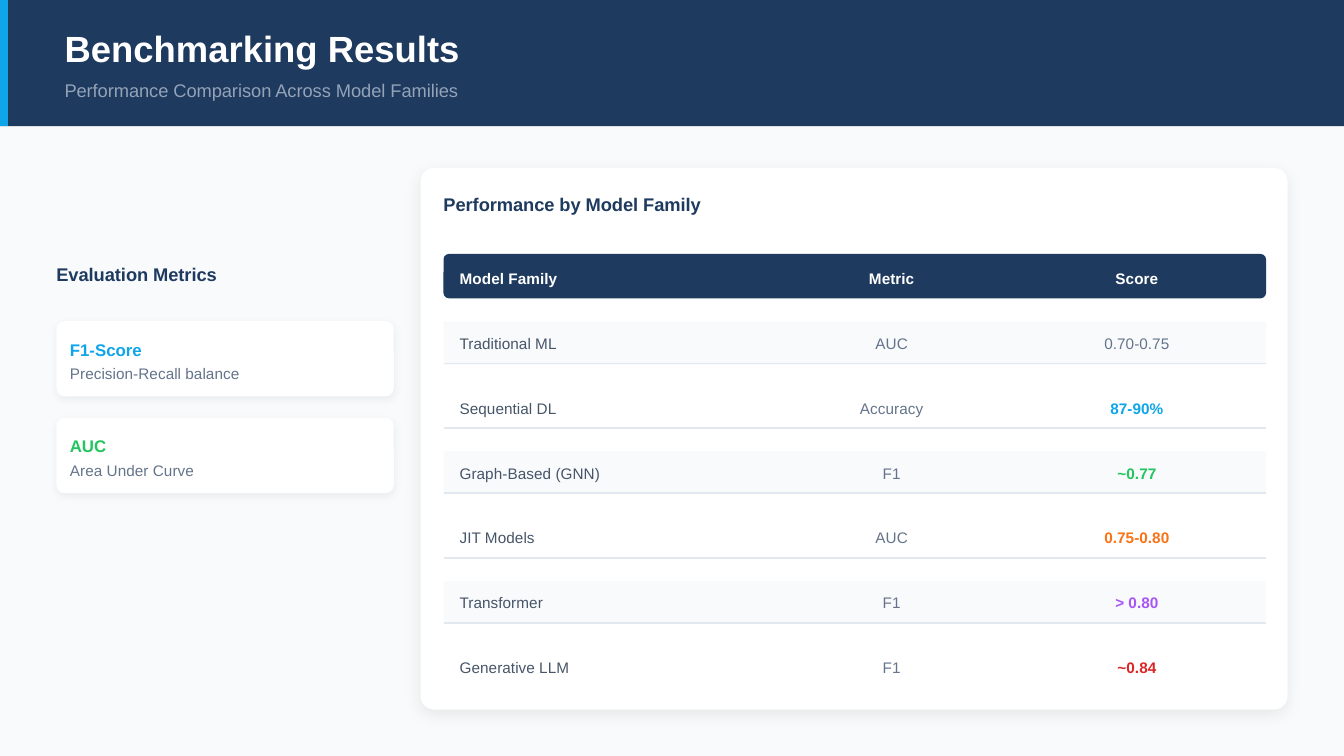
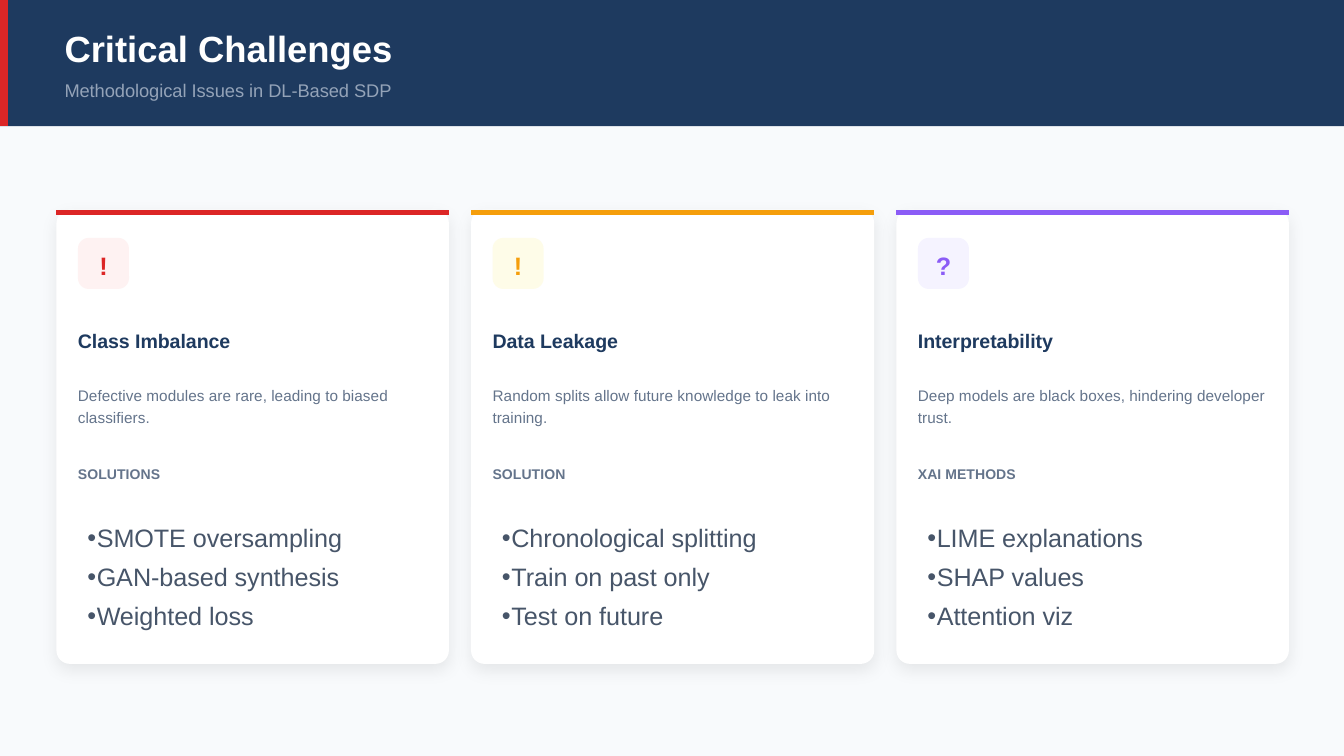
from dataclasses import dataclass

from lxml import etree
from pptx import Presentation
from pptx.dml.color import RGBColor
from pptx.enum.shapes import MSO_CONNECTOR, MSO_SHAPE
from pptx.enum.text import MSO_ANCHOR, MSO_AUTO_SIZE, PP_ALIGN
from pptx.oxml.ns import qn
from pptx.util import Inches, Pt

RECTANGLE = MSO_SHAPE.RECTANGLE
ROUNDED = MSO_SHAPE.ROUNDED_RECTANGLE
STRAIGHT = MSO_CONNECTOR.STRAIGHT
TOP = MSO_ANCHOR.TOP
MIDDLE = MSO_ANCHOR.MIDDLE
LEFT = PP_ALIGN.LEFT
CENTER = PP_ALIGN.CENTER
NO_AUTOFIT = MSO_AUTO_SIZE.NONE

TITLE_AND_CONTENT = 1
COMPARISON = 4
PLAIN_TABLE_STYLE = "{2D5ABB26-0587-4C30-8999-92F81FD0307C}"
MARGIN = 0.42
CONTENT_RIGHT = 9.59


@dataclass(frozen=True)
class Theme:
    font: str = "Arial"
    background: str = "F8FAFC"
    white: str = "FFFFFF"
    black: str = "000000"
    navy: str = "1E3A5F"
    subtitle: str = "94A3B8"
    muted: str = "64748B"
    body: str = "475569"
    rule: str = "E2E8F0"
    sky: str = "0EA5E9"
    green: str = "22C55E"
    orange: str = "F97316"
    purple: str = "A855F7"
    red: str = "DC2626"
    amber: str = "F59E0B"
    violet: str = "8B5CF6"
    pale_red: str = "FEF2F2"
    pale_amber: str = "FEFCE8"
    pale_violet: str = "F5F3FF"
    title_size: float = 19.5
    list_size: float = 13.5
    card_title_size: float = 10.5
    heading_size: float = 9.75
    metric_size: float = 9
    text_size: float = 8.25
    label_size: float = 7.5
    leading: float = 1.4
    list_spacing: float = 21
    small_shadow: tuple = (6, 4.5, 1.5)
    large_shadow: tuple = (8, 9, 3)


THEME = Theme()


def write_text(frame, text, *, size=THEME.text_size, color=THEME.muted, bold=False,
               align=LEFT, spacing=None, bullet=None, indent=0):
    for index, line in enumerate(text.split("\n")):
        paragraph = frame.paragraphs[0] if index == 0 else frame.add_paragraph()
        paragraph.alignment = align
        paragraph.line_spacing = Pt(spacing or size * THEME.leading)
        paragraph.space_before = Pt(0)
        properties = paragraph._p.get_or_add_pPr()
        properties.set("marL", str(Inches(indent)))
        properties.set("indent", str(-Inches(indent)))
        if bullet:
            etree.SubElement(properties, qn("a:buChar")).set("char", bullet)
        else:
            etree.SubElement(properties, qn("a:buNone"))
        run = paragraph.add_run()
        run.text = line
        run.font.name = THEME.font
        run.font.size = Pt(size)
        run.font.bold = bold
        run.font.color.rgb = RGBColor.from_string(color)


def prepare_frame(frame, left_inset=0, anchor=TOP):
    frame.word_wrap = True
    frame.auto_size = NO_AUTOFIT
    frame.vertical_anchor = anchor
    frame.margin_left = Inches(left_inset)
    frame.margin_right = frame.margin_top = frame.margin_bottom = 0


def add_text(slide, text, left, top, width, height, **text_format):
    box = slide.shapes.add_textbox(Inches(left), Inches(top), Inches(width), Inches(height))
    prepare_frame(box.text_frame)
    write_text(box.text_frame, text, **text_format)


def fill_placeholder(slide, index, text, left, top, width, height, left_inset=0, **text_format):
    placeholder = slide.placeholders[index]
    placeholder.left, placeholder.top = Inches(left), Inches(top)
    placeholder.width, placeholder.height = Inches(width), Inches(height)
    slide.shapes.element.append(placeholder.element)
    prepare_frame(placeholder.text_frame, left_inset)
    write_text(placeholder.text_frame, text, **text_format)


def add_shadow(shape, opacity, blur, distance):
    effects = shape.element.spPr.find(qn("a:effectLst"))
    shadow = etree.SubElement(effects, qn("a:outerShdw"), blurRad=str(Pt(blur)),
                              dist=str(Pt(distance)), dir="5400000",
                              algn="ctr", rotWithShape="0")
    color = etree.SubElement(shadow, qn("a:srgbClr"), val=THEME.black)
    etree.SubElement(color, qn("a:alpha"), val=str(opacity * 1000))


def add_block(slide, left, top, width, height, fill, radius=0, shadow=None):
    shape = slide.shapes.add_shape(ROUNDED if radius else RECTANGLE, Inches(left),
                                   Inches(top), Inches(width), Inches(height))
    if radius:
        shape.adjustments[0] = radius / min(width, height)
    shape.fill.solid()
    shape.fill.fore_color.rgb = RGBColor.from_string(fill)
    shape.line.fill.background()
    shape.shadow.inherit = False
    if shadow:
        add_shadow(shape, *shadow)
    return shape


def add_line(slide, start, end, color, width):
    line = slide.shapes.add_connector(STRAIGHT, Inches(start[0]), Inches(start[1]),
                                      Inches(end[0]), Inches(end[1]))
    line.line.color.rgb = RGBColor.from_string(color)
    line.line.width = Pt(width)
    etree.SubElement(line.element.spPr, qn("a:effectLst"))


def add_headed_slide(presentation, layout, title, subtitle, accent):
    slide = presentation.slides.add_slide(presentation.slide_layouts[layout])
    add_block(slide, 0, 0, 10, 0.94, THEME.navy)
    add_line(slide, (0.03, 0), (0.03, 0.94), accent, 4.5)
    fill_placeholder(slide, 0, title, 0.48, 0.25, 4.65, 0.27, size=THEME.title_size,
                     color=THEME.white, bold=True, spacing=THEME.title_size)
    fill_placeholder(slide, 1, subtitle, 0.48, 0.56, 9.29, 0.19,
                     size=THEME.heading_size, color=THEME.subtitle)
    return slide


def add_heading(slide, text, left, top, width):
    add_text(slide, text, left, top, width, 0.19, size=THEME.heading_size,
             color=THEME.navy, bold=True)


def add_metric_card(slide, top, name, meaning, color):
    add_block(slide, MARGIN, top, 2.51, 0.56, THEME.white, 0.06, THEME.small_shadow)
    add_text(slide, name, 0.52, top + 0.11, 2.34, 0.17, size=THEME.metric_size,
             color=color, bold=True)
    add_text(slide, meaning, 0.52, top + 0.3, 2.34, 0.16)


def add_score_table(slide, header, scores):
    left, top, width, height = 3.3, 1.82, 6.12, 3.38
    row_count = len(scores) + 1
    pitch = height / row_count
    add_block(slide, left, top + 0.07, width, 0.33, THEME.navy, 0.04)
    for row in range(1, row_count):
        band_top = top + row * pitch + 0.09
        add_block(slide, left, band_top, width, 0.32,
                  THEME.background if row % 2 else THEME.white)
        if row < row_count - 1:
            add_line(slide, (left, band_top + 0.31), (left + width, band_top + 0.31),
                     THEME.rule, 0.75)

    column_widths = (2.42, 1.83, 1.82)
    table = slide.shapes.add_table(row_count, len(header), Inches(left), Inches(top),
                                   Inches(sum(column_widths)), Inches(height)).table
    table.first_row = table.horz_banding = False
    table._tbl.tblPr.find(qn("a:tableStyleId")).text = PLAIN_TABLE_STYLE
    for column, column_width in zip(table.columns, column_widths):
        column.width = Inches(column_width)

    header_colors = (THEME.white,) * 3
    rows = [(header, header_colors)]
    rows += [(values, (THEME.body, THEME.muted, color)) for *values, color in scores]
    for row, (values, colors) in enumerate(rows):
        table.rows[row].height = Inches(pitch)
        for column, (value, color) in enumerate(zip(values, colors)):
            cell = table.cell(row, column)
            cell.fill.background()
            cell.vertical_anchor = MIDDLE
            cell.margin_left = Inches(0 if column else 0.12)
            cell.margin_right = cell.margin_top = cell.margin_bottom = 0
            write_text(cell.text_frame, value, color=color,
                       bold=row == 0 or (column == 2 and color != THEME.muted),
                       align=CENTER if column else LEFT)


def add_challenge_card(slide, left, width, list_index, challenge):
    symbol, title, description, label, items, color, tint = challenge
    top = 1.56
    text_left, text_width = left + 0.16, width - 0.29
    add_block(slide, left, top, width, 3.38, THEME.white, 0.1, THEME.large_shadow)
    add_line(slide, (left, top + 0.02), (left + width, top + 0.02), color, 3)
    icon = add_block(slide, text_left, top + 0.21, 0.38, 0.38, tint, 0.08)
    prepare_frame(icon.text_frame, anchor=MIDDLE)
    write_text(icon.text_frame, symbol, size=THEME.list_size, color=color,
               bold=True, align=CENTER)
    add_text(slide, title, text_left, top + 0.86, text_width, 0.2,
             size=THEME.card_title_size, color=THEME.navy, bold=True)
    add_text(slide, description, text_left, top + 1.29, text_width, 0.32)
    add_text(slide, label, text_left, top + 1.88, text_width, 0.15,
             size=THEME.label_size, bold=True)
    fill_placeholder(slide, list_index, items, text_left, top + 2.26, width - 0.34, 0.96,
                     left_inset=0.07, size=THEME.list_size, color=THEME.body,
                     spacing=THEME.list_spacing, bullet="•", indent=0.07)


def build_results_slide(presentation):
    slide = add_headed_slide(presentation, TITLE_AND_CONTENT, "Benchmarking Results",
                             "Performance Comparison Across Model Families", THEME.sky)
    add_heading(slide, "Evaluation Metrics", MARGIN, 1.93, 2.56)
    metrics = (
        ("F1-Score", "Precision-Recall balance", THEME.sky),
        ("AUC", "Area Under Curve", THEME.green),
    )
    for index, metric in enumerate(metrics):
        add_metric_card(slide, 2.39 + 0.72 * index, *metric)

    add_block(slide, 3.13, 1.25, 6.45, 4.03, THEME.white, 0.1, THEME.large_shadow)
    add_heading(slide, "Performance by Model Family", 3.3, 1.41, 6.24)
    add_score_table(slide, ("Model Family", "Metric", "Score"), (
        ("Traditional ML", "AUC", "0.70-0.75", THEME.muted),
        ("Sequential DL", "Accuracy", "87-90%", THEME.sky),
        ("Graph-Based (GNN)", "F1", "~0.77", THEME.green),
        ("JIT Models", "AUC", "0.75-0.80", THEME.orange),
        ("Transformer", "F1", "> 0.80", THEME.purple),
        ("Generative LLM", "F1", "~0.84", THEME.red),
    ))


def build_challenges_slide(presentation):
    slide = add_headed_slide(presentation, COMPARISON, "Critical Challenges",
                             "Methodological Issues in DL-Based SDP", THEME.red)
    challenges = (
        ("!", "Class Imbalance", "Defective modules are rare, leading to biased classifiers.",
         "SOLUTIONS", "SMOTE oversampling\nGAN-based synthesis\nWeighted loss",
         THEME.red, THEME.pale_red),
        ("!", "Data Leakage", "Random splits allow future knowledge to leak into training.",
         "SOLUTION", "Chronological splitting\nTrain on past only\nTest on future",
         THEME.amber, THEME.pale_amber),
        ("?", "Interpretability", "Deep models are black boxes, hindering developer trust.",
         "XAI METHODS", "LIME explanations\nSHAP values\nAttention viz",
         THEME.violet, THEME.pale_violet),
    )
    widths = (2.92, 3, 2.92)
    gap = (CONTENT_RIGHT - MARGIN - sum(widths)) / 2
    left = MARGIN
    for list_index, (width, challenge) in enumerate(zip(widths, challenges), start=2):
        add_challenge_card(slide, left, width, list_index, challenge)
        left += width + gap


def main():
    presentation = Presentation()
    presentation.slide_width = Inches(10)
    presentation.slide_height = presentation.slide_width * 9 // 16
    background = presentation.slide_master.background.fill
    background.solid()
    background.fore_color.rgb = RGBColor.from_string(THEME.background)
    build_results_slide(presentation)
    build_challenges_slide(presentation)
    presentation.save("out.pptx")


if __name__ == "__main__":
    main()
